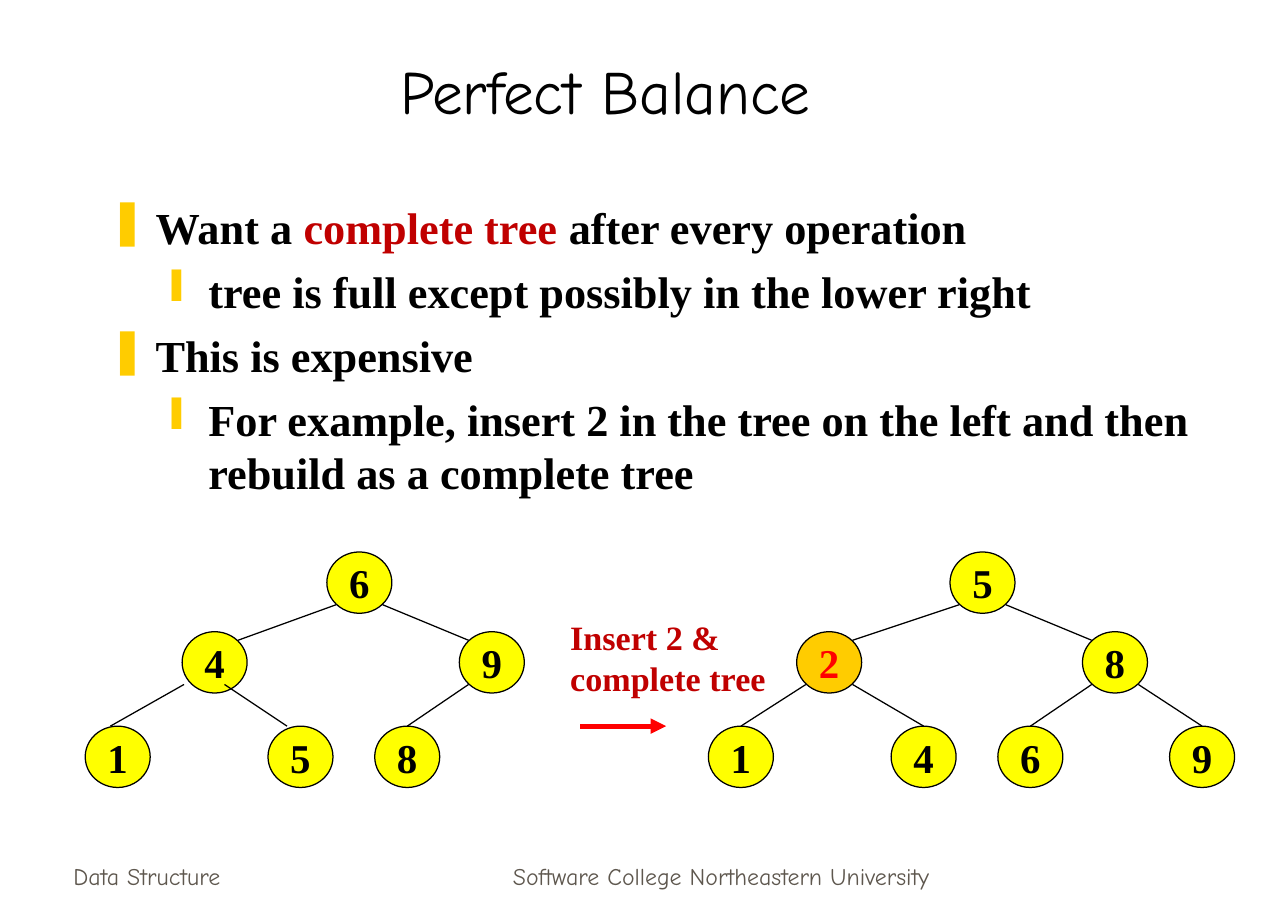
from pptx import Presentation
from pptx.util import Inches, Pt
from pptx.dml.color import RGBColor
from pptx.enum.shapes import MSO_SHAPE, MSO_CONNECTOR
from pptx.enum.text import MSO_ANCHOR, PP_ALIGN
from pptx.oxml.ns import qn
from lxml import etree

OVAL, LINE = MSO_SHAPE.OVAL, MSO_CONNECTOR.STRAIGHT
TOP, MID, LOW = MSO_ANCHOR.TOP, MSO_ANCHOR.MIDDLE, MSO_ANCHOR.BOTTOM
LEFT, CENTER = PP_ALIGN.LEFT, PP_ALIGN.CENTER
HEX = {"black": "000000", "gray": "5E574E", "dark": "C00000",
       "red": "FF0000", "gold": "FFCC00", "yellow": "FFFF00"}
HAND, SERIF = "Comic Neue", "Times New Roman"

deck = Presentation()
deck.slide_width, deck.slide_height = Inches(10.5), Inches(7.5)
slide = deck.slides.add_slide(deck.slide_layouts[5])
shapes = slide.shapes


def write(para, text, size, face, color, bold=False):
    run = para.add_run()
    run.text = text
    run.font.size, run.font.name, run.font.bold = Pt(size), face, bold
    run.font.color.rgb = RGBColor.from_string(HEX[color])


def join(x1, y1, x2, y2, color="black", width=0.75):
    line = shapes.add_connector(LINE, Inches(x1), Inches(y1), Inches(x2), Inches(y2))
    line.line.color.rgb = RGBColor.from_string(HEX[color])
    line.line.width = Pt(width)
    etree.SubElement(line._element.spPr, qn("a:effectLst"))
    return line


# Title
title = shapes.title
title.left, title.top = Inches(0.47), Inches(0.25)
title.width, title.height = Inches(8.93), Inches(0.83)
title.text_frame.vertical_anchor = LOW
para = title.text_frame.paragraphs[0]
para.alignment = CENTER
write(para, "Perfect Balance", 36, HAND, "black")

# Footer and arrow label
labels = [
    (0.5, 6.81, 2.19, 0.5, LOW, LEFT, True, ["Data Structure"], (14, HAND, "gray")),
    (3.59, 6.81, 4.58, 0.5, LOW, CENTER, True,
     ["Software College Northeastern University"], (14, HAND, "gray")),
    (4.55, 4.98, 1.8, 0.77, TOP, LEFT, False,
     ["Insert 2 &", "complete tree"], (20, SERIF, "dark", True)),
]
for x, y, w, h, anchor, align, wrap, lines, style in labels:
    frame = shapes.add_textbox(Inches(x), Inches(y), Inches(w), Inches(h)).text_frame
    frame.word_wrap, frame.vertical_anchor = wrap, anchor
    for i, text in enumerate(lines):
        para = frame.add_paragraph() if i else frame.paragraphs[0]
        para.alignment = align
        write(para, text, *style)

# Bullet list
points = [
    (0, [("Want a ", "black"), ("complete tree ", "dark"),
         ("after every operation", "black")]),
    (1, [("tree is full except possibly in the lower right", "black")]),
    (0, [("This is expensive", "black")]),
    (1, [("For example, insert 2 in the tree on the left and then "
          "rebuild as a complete tree", "black")]),
]
marks = [("❚", 0.38, -0.38), ("❙", 0.81, -0.31)]
frame = shapes.add_textbox(Inches(0.79), Inches(1.58), Inches(9.71), Inches(3)).text_frame
frame.word_wrap = True
for i, (level, parts) in enumerate(points):
    para = frame.add_paragraph() if i else frame.paragraphs[0]
    mark, left, hang = marks[level]
    props = para._p.get_or_add_pPr()
    props.set("marL", str(Inches(left)))
    props.set("indent", str(Inches(hang)))
    tint = etree.SubElement(props, qn("a:buClr"))
    etree.SubElement(tint, qn("a:srgbClr"), val=HEX["gold"])
    etree.SubElement(props, qn("a:buChar"), char=mark)
    para.level = level
    if i:
        para.space_before = Pt(6.5)
    for text, color in parts:
        write(para, text, 26, SERIF, color, True)

# Trees: key, centre, row, parent index, shift of the edge to the parent
rows = [4.75, 5.4, 6.17]
wide, high = 0.53, 0.5
trees = [
    [("6", 2.93, 0, None, 0), ("4", 1.75, 1, 0, 0), ("9", 4.01, 1, 0, 0),
     ("1", 0.96, 2, 1, -0.06), ("5", 2.45, 2, 1, -0.11), ("8", 3.32, 2, 2, 0)],
    [("5", 8.01, 0, None, 0), ("2", 6.76, 1, 0, 0), ("8", 9.09, 1, 0, 0),
     ("1", 6.04, 2, 1, 0), ("4", 7.53, 2, 1, 0), ("6", 8.4, 2, 2, 0),
     ("9", 9.8, 2, 2, 0)],
]
for tree in trees:
    for key, x, row, up, shift in tree:
        new = key == "2"
        node = shapes.add_shape(OVAL, Inches(x - wide / 2), Inches(rows[row] - high / 2),
                                Inches(wide), Inches(high))
        node.shadow.inherit = False
        node.fill.solid()
        node.fill.fore_color.rgb = RGBColor.from_string(HEX["gold" if new else "yellow"])
        node.line.color.rgb = RGBColor.from_string(HEX["black"])
        node.line.width = Pt(0.75)
        frame = node.text_frame
        frame.word_wrap, frame.vertical_anchor = False, MID
        para = frame.paragraphs[0]
        para.alignment = CENTER
        write(para, key, 24, SERIF, "red" if new else "black", True)
    for key, x, row, up, shift in tree:
        if up is None:
            continue
        over = tree[up][1]
        side = 0.19 if x > over else -0.19
        # Inner nodes meet the edge at a corner, leaves at the top
        dx, dy = (side, 0.18) if row == 1 else (0, high / 2)
        join(over + side + shift, rows[row - 1] + 0.18, x - dx + shift, rows[row] - dy)

# Arrow between the trees
arrow = join(4.73, 5.92, 5.43, 5.92, "red", 3)
etree.SubElement(arrow.line._get_or_add_ln(), qn("a:tailEnd"), type="triangle")

deck.save("out.pptx")
